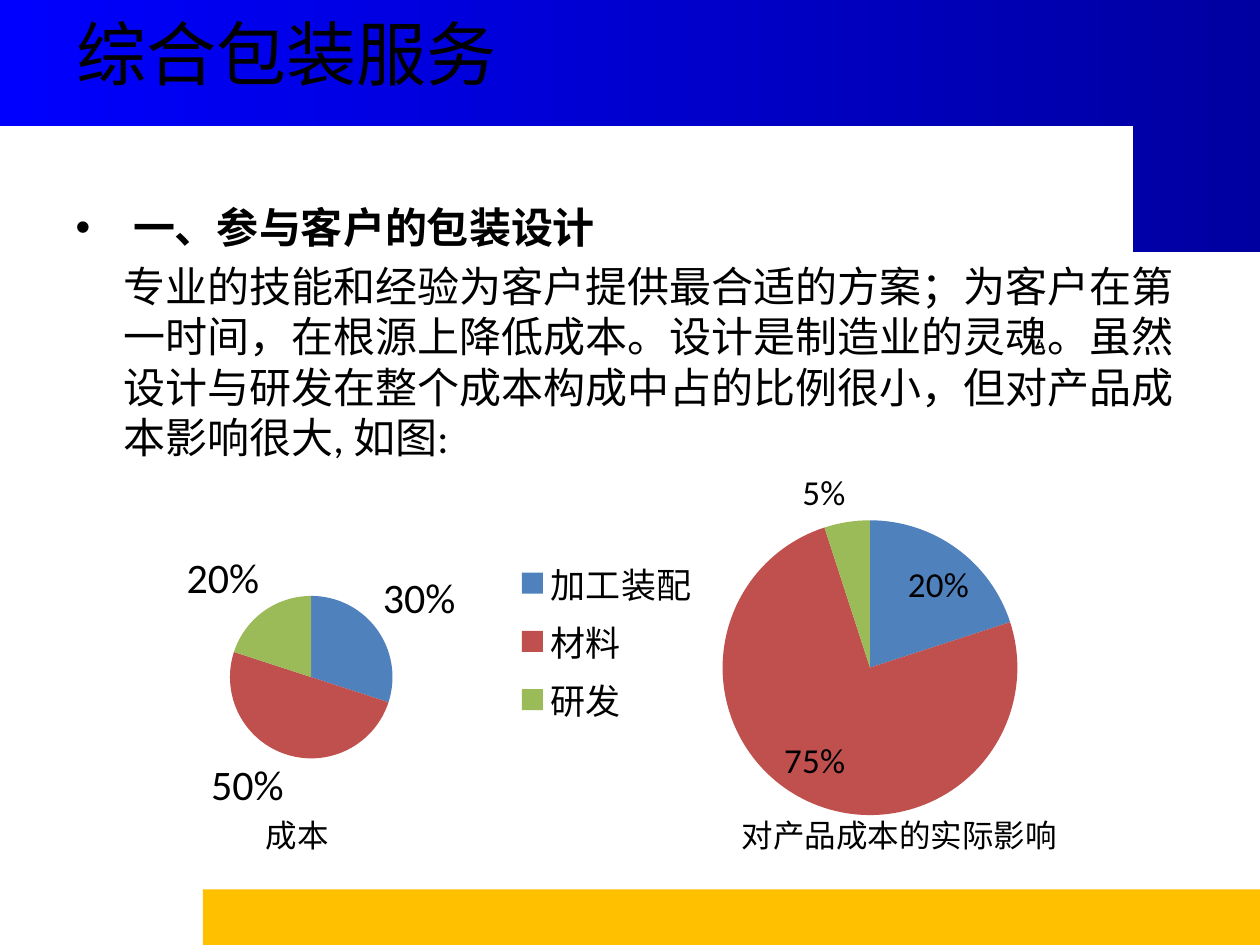
from lxml.etree import SubElement
from pptx import Presentation
from pptx.chart.data import CategoryChartData
from pptx.dml.color import RGBColor
from pptx.enum.chart import XL_CHART_TYPE as ChartType
from pptx.enum.chart import XL_LABEL_POSITION as LabelPosition
from pptx.enum.chart import XL_LEGEND_POSITION as LegendPosition
from pptx.enum.shapes import MSO_SHAPE as Shape
from pptx.enum.text import MSO_ANCHOR as Anchor
from pptx.enum.text import MSO_AUTO_SIZE as AutoSize
from pptx.enum.text import PP_ALIGN as Align
from pptx.oxml.ns import qn
from pptx.util import Inches, Pt

COLORS = {
    "text": "000000",
    "bar": "FFC000",
    "wave_left": "0000FF",
    "wave_right": "0000A0",
    "assembly": "4F81BD",
    "material": "C0504D",
    "research": "9BBB59",
}
SLICES = ("assembly", "material", "research")
WAVE_START = (0, 1.07)
WAVE_CURVES = (
    ((0.73, 0.93), (3.86, 0.83), (4.57, 0.86)),
    ((5.29, 0.89), (8.16, 0.89), (10, 1.91)),
)


def color(name):
    """Return the named colour."""
    return RGBColor.from_string(COLORS[name])


def style_font(font, size, name="Calibri", bold=False):
    """Set the look of a font."""
    font.name = name
    font.size = Pt(size)
    font.bold = bold
    font.color.rgb = color("text")


def place(shape, left, top, width, height):
    """Move and size a shape in inches."""
    shape.left, shape.top = Inches(left), Inches(top)
    shape.width, shape.height = Inches(width), Inches(height)


def curve_points(start, curves, steps=40):
    """Sample a chain of cubic curves."""
    points = []
    for curve in curves:
        for step in range(1, steps + 1):
            t = step / steps
            weights = ((1 - t) ** 3, 3 * t * (1 - t) ** 2, 3 * t * t * (1 - t), t ** 3)
            corners = (start, *curve)
            points.append(tuple(
                sum(weight * corner[axis] for weight, corner in zip(weights, corners))
                for axis in (0, 1)
            ))
        start = curve[-1]
    return points


def add_wave(page):
    """Draw the blue header with its curved lower edge."""
    builder = page.shapes.build_freeform(0, 0, scale=Inches(1))
    edge = curve_points(WAVE_START, WAVE_CURVES)
    builder.add_line_segments([WAVE_START, *edge, (10, 0)], close=True)
    wave = builder.convert_to_shape()
    wave.shadow.inherit = False
    wave.line.fill.background()
    wave.fill.gradient()
    wave.fill.gradient_angle = 0
    for stop, name in zip(wave.fill.gradient_stops, ("wave_left", "wave_right")):
        stop.color.rgb = color(name)


def add_bar(page):
    """Draw the footer bar."""
    bar = page.shapes.add_shape(
        Shape.RECTANGLE, Inches(1.61), Inches(7.06), Inches(8.39), Inches(0.44))
    bar.shadow.inherit = False
    bar.fill.solid()
    bar.fill.fore_color.rgb = color("bar")
    bar.line.fill.background()


def fill_title(title, text):
    """Write the slide title."""
    place(title, 0.51, 0, 9, 0.84)
    frame = title.text_frame
    frame.auto_size = AutoSize.NONE
    frame.vertical_anchor = Anchor.MIDDLE
    para = frame.paragraphs[0]
    para.text = text
    para.alignment = Align.LEFT
    style_font(para.font, 40, "Noto Sans CJK SC")


def fill_body(body, heading, text):
    """Write the bulleted heading and the text below it."""
    place(body, 0.5, 1.55, 9, 5.15)
    frame = body.text_frame
    frame.auto_size = AutoSize.NONE
    frame.text = f"{heading}\n{text}"
    for index, para in enumerate(frame.paragraphs):
        first = index == 0
        properties = para._p.get_or_add_pPr()
        properties.set("marL", str(Inches(0.38)))
        properties.set("indent", str(Inches(-0.38) if first else 0))
        para.line_spacing = Pt(28.8)
        para.space_before = Pt(0 if first else 4.8)
        if first:
            SubElement(properties, qn("a:buChar")).set("char", "•")
        else:
            SubElement(properties, qn("a:buNone"))
        style_font(para.font, 24, bold=first)


def set_plot_area(chart, left, top, width, height):
    """Fix the inner plot area as fractions of the chart."""
    area = chart._chartSpace.chart.plotArea
    for old in area.findall(qn("c:layout")):
        area.remove(old)
    layout = SubElement(area, qn("c:layout"))
    area.insert(0, layout)
    manual = SubElement(layout, qn("c:manualLayout"))
    settings = {"layoutTarget": "inner", "xMode": "edge", "yMode": "edge",
                "x": left, "y": top, "w": width, "h": height}
    for tag, value in settings.items():
        SubElement(manual, qn(f"c:{tag}")).set("val", str(value))


def add_pie(page, left, categories, values, label_size, plot_area, legend=False):
    """Add a pie chart with percentage labels."""
    chart_data = CategoryChartData(number_format="0%")
    chart_data.categories = categories
    chart_data.add_series("Series 1", values)
    chart = page.shapes.add_chart(
        ChartType.PIE, Inches(left), Inches(3.59), Inches(5), Inches(3), chart_data).chart
    chart.has_title = False
    style_font(chart.font, 10)
    set_plot_area(chart, *plot_area)
    chart.has_legend = legend
    if legend:
        chart.legend.position = LegendPosition.RIGHT
        chart.legend.include_in_layout = False
        style_font(chart.legend.font, 20)
    plot = chart.plots[0]
    plot.vary_by_categories = True
    for index, name in enumerate(SLICES):
        fill = plot.series[0].points[index].format.fill
        fill.solid()
        fill.fore_color.rgb = color(name)
    labels = plot.series[0].data_labels
    labels.show_value = True
    labels.number_format = "0%"
    labels.number_format_is_linked = False
    labels.position = LabelPosition.BEST_FIT
    style_font(labels.font, label_size)


def add_caption(page, text, left, width):
    """Add a caption below a pie."""
    box = page.shapes.add_textbox(Inches(left), Inches(6.43), Inches(width), Inches(0.4))
    box.text_frame.word_wrap = False
    para = box.text_frame.paragraphs[0]
    para.text = text
    style_font(para.font, 18)


def main():
    """Build the slide and save it."""
    deck = Presentation()
    deck.slide_width, deck.slide_height = Inches(10), Inches(7.5)
    page = deck.slides.add_slide(deck.slide_layouts[1])
    title, body = page.placeholders
    add_bar(page)
    add_wave(page)
    for holder in (title, body):
        page.shapes._spTree.append(holder._element)
    fill_title(title, "综合包装服务")
    fill_body(
        body, " 一、参与客户的包装设计",
        "专业的技能和经验为客户提供最合适的方案；为客户在第一时间，在根源上降低成本。"
        "设计是制造业的灵魂。虽然设计与研发在整个成本构成中占的比例很小，"
        "但对产品成本影响很大, 如图:")
    add_pie(page, 4.53, ("1", "2", "3"), (0.2, 0.75, 0.05), 20, (0.24, 0.18, 0.47, 0.78))
    add_pie(page, 0.67, ("加工装配", "材料", "研发"), (0.3, 0.5, 0.2), 24,
            (0.23, 0.38, 0.26, 0.43), legend=True)
    add_caption(page, "成本", 2.01, 0.71)
    add_caption(page, "对产品成本的实际影响", 5.79, 2.73)
    deck.save("out.pptx")


if __name__ == "__main__":
    main()
